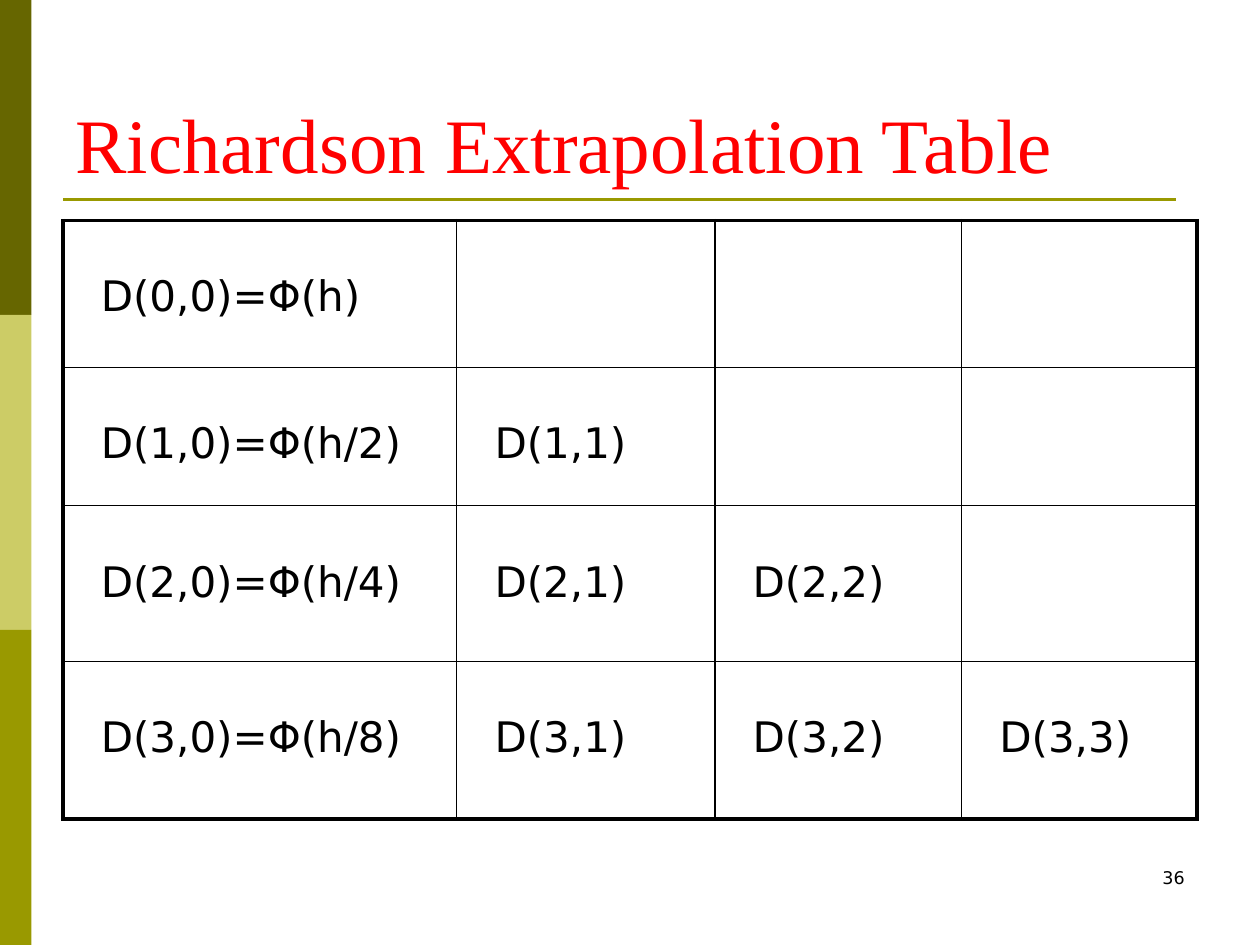
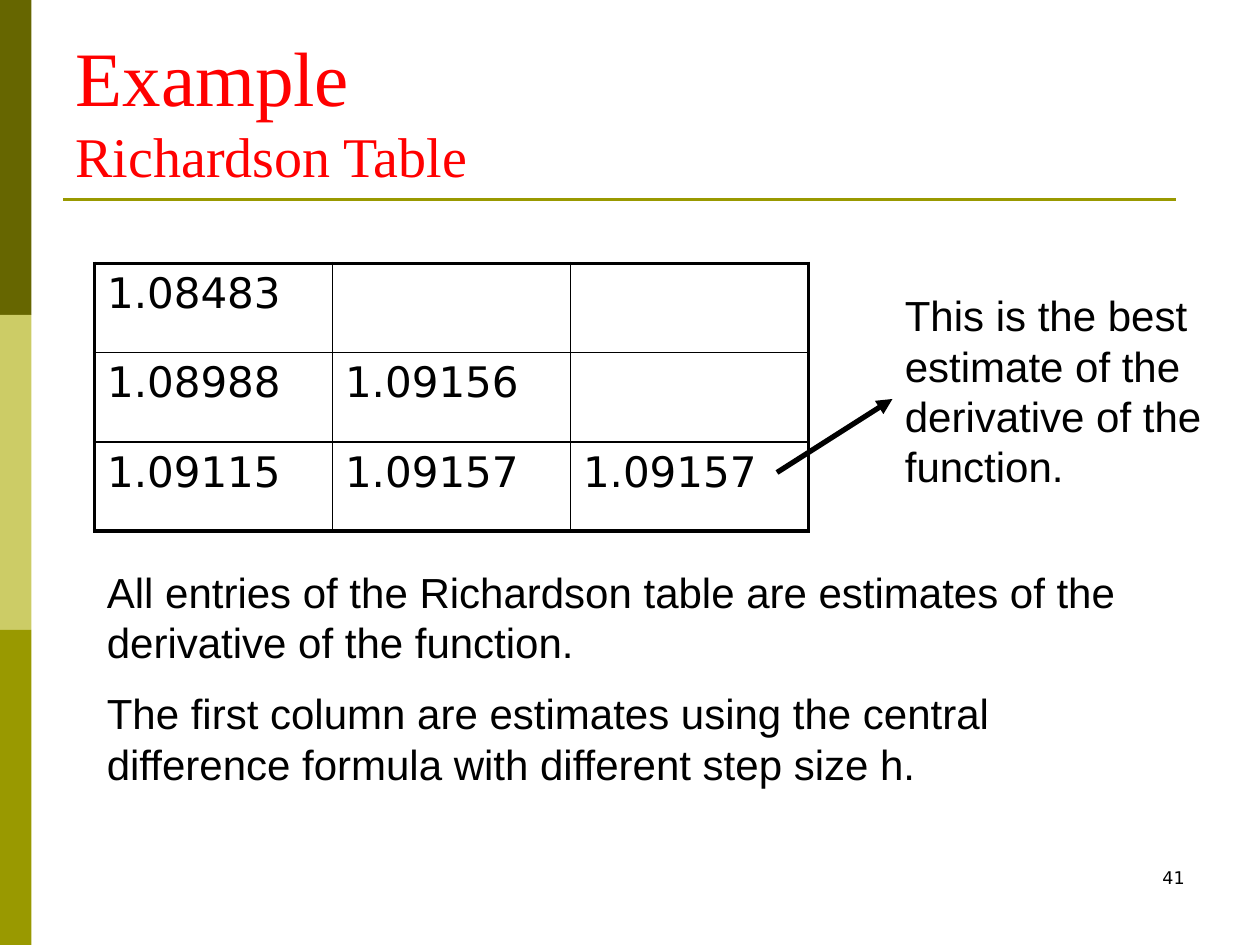
from lxml import etree
from pptx import Presentation
from pptx.dml.color import RGBColor
from pptx.enum.shapes import MSO_CONNECTOR, MSO_SHAPE
from pptx.enum.text import MSO_ANCHOR, MSO_AUTO_SIZE, PP_ALIGN
from pptx.oxml.ns import qn
from pptx.util import Pt

STRAIGHT = MSO_CONNECTOR.STRAIGHT
RECTANGLE = MSO_SHAPE.RECTANGLE
BOTTOM = MSO_ANCHOR.BOTTOM
NO_AUTOFIT = MSO_AUTO_SIZE.NONE
LEFT, RIGHT = PP_ALIGN.LEFT, PP_ALIGN.RIGHT

BLACK = RGBColor(0, 0, 0)
RED = RGBColor(0xFF, 0, 0)
DARK_OLIVE = RGBColor(0x66, 0x66, 0)
PALE_OLIVE = RGBColor(0xCC, 0xCC, 0x66)
OLIVE = RGBColor(0x99, 0x99, 0)

TITLE_FONT = "Times New Roman"
TABLE_FONT = "DejaVu Sans"
NOTE_FONT = "Arial"
TITLE_SIZES = (44, 32)
BODY_SIZE = 24
TITLE_ONLY_LAYOUT = 5
BAND_WIDTH, BAND_HEIGHT = 18, 180
OUTER_BORDER, INNER_BORDER = 2.25, 1


def format_run(run, font_name, size, color=BLACK):
    run.font.name = font_name
    run.font.size = Pt(size)
    run.font.color.rgb = color


def add_line(slide, start, end, color, width, arrow=False):
    connector = slide.shapes.add_connector(STRAIGHT, *map(Pt, start + end))
    connector.line.color.rgb = color
    connector.line.width = Pt(width)
    if arrow:
        line = connector.line._get_or_add_ln()
        etree.SubElement(line, qn("a:tailEnd"), type="triangle")
    etree.SubElement(connector._element.spPr, qn("a:effectLst"))


def add_text(slide, box, paragraphs, font_name, size, alignment=LEFT):
    text_frame = slide.shapes.add_textbox(*map(Pt, box)).text_frame
    text_frame.word_wrap = True
    text_frame.text = "\n".join(paragraphs)
    for index, paragraph in enumerate(text_frame.paragraphs):
        paragraph.alignment = alignment
        if index:
            paragraph.space_before = Pt(size / 2)
        for run in paragraph.runs:
            format_run(run, font_name, size)


def add_side_bands(slide):
    for index, color in enumerate((DARK_OLIVE, PALE_OLIVE, OLIVE)):
        band = slide.shapes.add_shape(
            RECTANGLE, 0, Pt(index * BAND_HEIGHT), Pt(BAND_WIDTH), Pt(BAND_HEIGHT)
        )
        band.shadow.inherit = False
        band.fill.solid()
        band.fill.fore_color.rgb = color
        band.line.fill.background()


def set_title(slide, lines):
    title = slide.shapes.title
    title.left, title.top, title.width, title.height = map(Pt, (36, 21.6, 648, 90))
    text_frame = title.text_frame
    text_frame.auto_size = NO_AUTOFIT
    text_frame.vertical_anchor = BOTTOM
    text_frame.text = "\v".join(lines)
    paragraph = text_frame.paragraphs[0]
    paragraph.alignment = LEFT
    for run, size in zip(paragraph.runs, TITLE_SIZES):
        format_run(run, TITLE_FONT, size, RED)


def add_base_slide(presentation, title_lines, number):
    layout = presentation.slide_layouts[TITLE_ONLY_LAYOUT]
    slide = presentation.slides.add_slide(layout)
    add_side_bands(slide)
    add_line(slide, (36, 114), (672, 114), OLIVE, 1.5)
    add_text(slide, (516, 492, 168, 36), [number], TABLE_FONT, 10, RIGHT)
    set_title(slide, title_lines)
    return slide


def set_borders(cell, outer_sides):
    properties = cell._tc.get_or_add_tcPr()
    for side, is_outer in outer_sides.items():
        width = Pt(OUTER_BORDER if is_outer else INNER_BORDER)
        line = etree.SubElement(properties, qn(f"a:ln{side}"), w=str(width))
        fill = etree.SubElement(line, qn("a:solidFill"))
        etree.SubElement(fill, qn("a:srgbClr"), val=str(BLACK))


def add_triangular_table(slide, left, top, widths, heights, rows, padded=False):
    last_row, last_column = len(heights) - 1, len(widths) - 1
    table = slide.shapes.add_table(
        len(heights), len(widths), Pt(left), Pt(top), Pt(sum(widths)), Pt(sum(heights))
    ).table
    table.first_row = table.horz_banding = False
    for column, width in zip(table.columns, widths):
        column.width = Pt(width)
    for row, height in zip(table.rows, heights):
        row.height = Pt(height)
    for r in range(len(heights)):
        for c in range(len(widths)):
            cell = table.cell(r, c)
            set_borders(
                cell,
                {"L": c == 0, "R": c == last_column, "T": r == 0, "B": r == last_row},
            )
            cell.fill.background()
            if c < len(rows[r]):
                cell.text = rows[r][c]
                paragraph = cell.text_frame.paragraphs[0]
                format_run(paragraph.runs[0], TABLE_FONT, BODY_SIZE)
                if padded:
                    cell.margin_left = cell.margin_top = Pt(21.6)
                    paragraph.line_spacing = 1.3


def add_extrapolation_slide(presentation):
    slide = add_base_slide(presentation, ["Richardson Extrapolation Table"], "36")
    steps = ["h", "h/2", "h/4", "h/8"]
    rows = [
        [f"D({n},0)=Φ({step})"] + [f"D({n},{m})" for m in range(1, n + 1)]
        for n, step in enumerate(steps)
    ]
    add_triangular_table(
        slide, 36, 126, (225, 147.5, 141, 134.5), (84, 79, 89, 90), rows, padded=True
    )


def add_example_slide(presentation):
    slide = add_base_slide(presentation, ["Example", "Richardson Table"], "41")
    estimates = [
        ["1.08483"],
        ["1.08988", "1.09156"],
        ["1.09115", "1.09157", "1.09157"],
    ]
    add_triangular_table(slide, 54, 150.5, [136] * 3, [51] * 3, estimates)
    add_line(slide, (444, 270), (510, 228), BLACK, 3, arrow=True)
    add_text(
        slide,
        (510, 162, 186, 122),
        ["This is the best estimate of the derivative of the function."],
        NOTE_FONT,
        BODY_SIZE,
    )
    add_text(
        slide,
        (54, 320, 618, 138),
        [
            "All entries of the Richardson table are estimates of the derivative "
            "of the function.",
            "The first column are estimates using the central difference formula "
            "with different step size h.",
        ],
        NOTE_FONT,
        BODY_SIZE,
    )


def main():
    presentation = Presentation()
    presentation.slide_width, presentation.slide_height = Pt(720), Pt(540)
    add_extrapolation_slide(presentation)
    add_example_slide(presentation)
    presentation.save("out.pptx")


if __name__ == "__main__":
    main()
